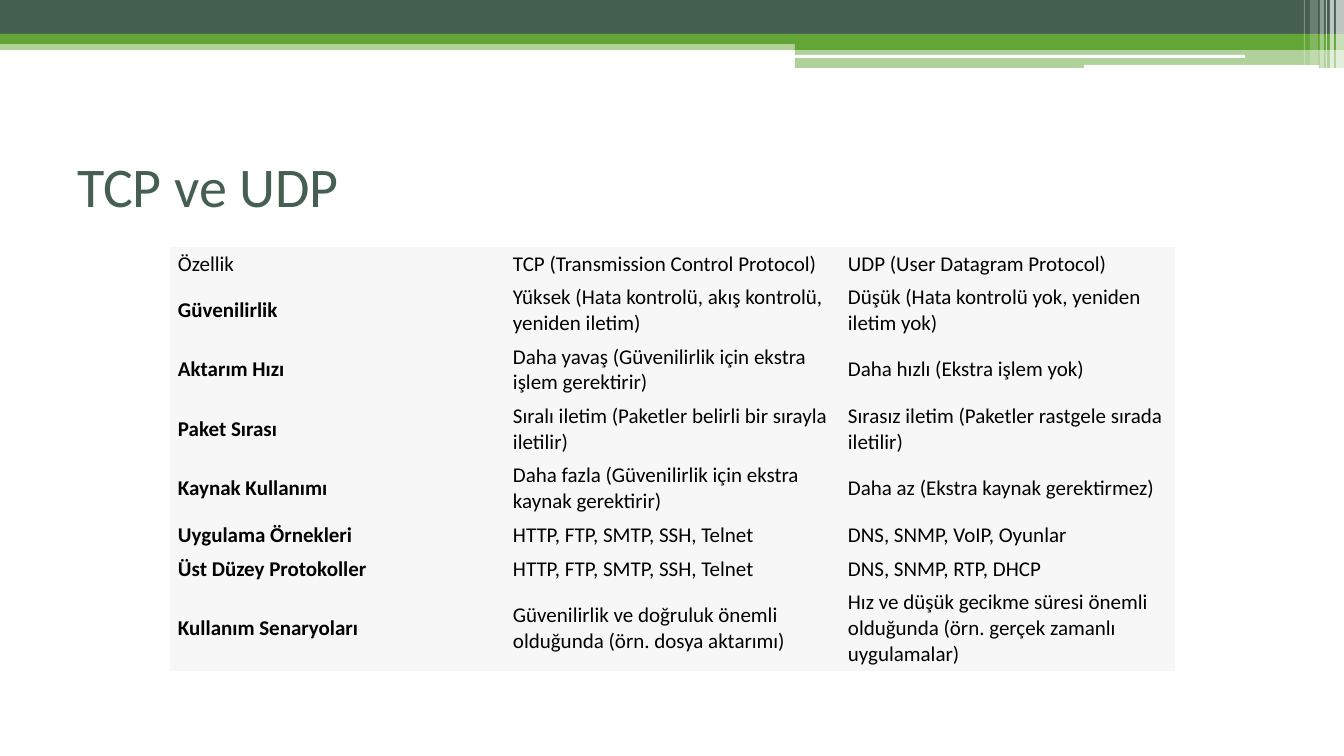
"""Build the slide that compares TCP and UDP."""
from dataclasses import dataclass

from lxml.etree import SubElement
from pptx import Presentation
from pptx.dml.color import RGBColor as Rgb
from pptx.enum.shapes import MSO_SHAPE as Kind
from pptx.enum.text import MSO_ANCHOR as Anchor, PP_ALIGN as Align
from pptx.oxml.ns import qn
from pptx.slide import Slide
from pptx.text.text import TextFrame as Frame
from pptx.util import Pt

SCALE = 12192000 / 1344


@dataclass(frozen=True)
class Theme:
    font: str = "Calibri"
    dark: str = "455F51"
    green: str = "63A537"
    white: str = "FFFFFF"
    black: str = "000000"
    pale: str = "F7F7F7"
    title: int = 40
    body: int = 15


@dataclass(frozen=True)
class Bar:
    left: int
    top: int
    width: int
    height: int
    color: str
    alpha: int = 100
    kind: Kind = Kind.RECTANGLE


THEME = Theme()
BARS = [
    Bar(0, 40, 1344, 10, THEME.green, 50),
    Bar(0, 0, 1344, 34, THEME.dark),
    Bar(0, 34, 1344, 10, THEME.green),
    Bar(795, 39, 549, 11, THEME.green),
    Bar(795, 49, 549, 19, THEME.green, 50),
    Bar(795, 55, 450, 3, THEME.white, kind=Kind.ROUNDED_RECTANGLE),
    Bar(1084, 65, 235, 4, THEME.white, kind=Kind.ROUNDED_RECTANGLE),
    Bar(1336, 0, 8, 69, THEME.white, 65),
    Bar(1330, 0, 4, 69, THEME.white, 65),
    Bar(1326, 0, 1, 69, THEME.white, 60),
    Bar(1320, 0, 4, 69, THEME.white, 40),
    Bar(1310, 0, 8, 65, THEME.white, 20),
    Bar(1304, 0, 1, 65, THEME.white, 30),
]
ROWS = [
    ("Özellik", "TCP (Transmission Control Protocol)", "UDP (User Datagram Protocol)"),
    ("Güvenilirlik", "Yüksek (Hata kontrolü, akış kontrolü, yeniden iletim)",
     "Düşük (Hata kontrolü yok, yeniden iletim yok)"),
    ("Aktarım Hızı", "Daha yavaş (Güvenilirlik için ekstra işlem gerektirir)",
     "Daha hızlı (Ekstra işlem yok)"),
    ("Paket Sırası", "Sıralı iletim (Paketler belirli bir sırayla iletilir)",
     "Sırasız iletim (Paketler rastgele sırada iletilir)"),
    ("Kaynak Kullanımı", "Daha fazla (Güvenilirlik için ekstra kaynak gerektirir)",
     "Daha az (Ekstra kaynak gerektirmez)"),
    ("Uygulama Örnekleri", "HTTP, FTP, SMTP, SSH, Telnet", "DNS, SNMP, VoIP, Oyunlar"),
    ("Üst Düzey Protokoller", "HTTP, FTP, SMTP, SSH, Telnet", "DNS, SNMP, RTP, DHCP"),
    ("Kullanım Senaryoları", "Güvenilirlik ve doğruluk önemli olduğunda (örn. dosya aktarımı)",
     "Hız ve düşük gecikme süresi önemli olduğunda (örn. gerçek zamanlı uygulamalar)"),
]
HEIGHTS = [33, 59, 59, 59, 59, 33, 33, 84]
COLUMN = 335
PLAIN = "{2D5ABB26-0587-4C30-8999-92F81FD0307C}"


def px(count: int) -> int:
    """Turn pixels into EMU."""
    return round(count * SCALE)


def write(frame: Frame, text: str, *, size: int, color: str, bold: bool = False) -> None:
    """Put formatted text into a frame."""
    para = frame.paragraphs[0]
    para.alignment = Align.LEFT
    run = para.add_run()
    run.text = text
    font = run.font
    font.name, font.size, font.bold = THEME.font, Pt(size), bold
    font.color.rgb = Rgb.from_string(color)


def draw(slide: Slide, bar: Bar) -> None:
    """Draw one bar of the banner."""
    shape = slide.shapes.add_shape(
        bar.kind, px(bar.left), px(bar.top), px(bar.width), px(bar.height))
    shape.shadow.inherit = False
    shape.line.fill.background()
    shape.fill.solid()
    shape.fill.fore_color.rgb = Rgb.from_string(bar.color)
    if bar.alpha < 100:
        tint = shape._element.spPr.find(".//" + qn("a:srgbClr"))
        SubElement(tint, qn("a:alpha")).set("val", str(bar.alpha * 1000))


def head(slide: Slide) -> None:
    """Place and write the title."""
    title = slide.shapes.title
    title.left, title.top, title.width, title.height = map(px, (67, 126, 1210, 118))
    title.text_frame.vertical_anchor = Anchor.MIDDLE
    write(title.text_frame, "TCP ve UDP", size=THEME.title, color=THEME.dark)


def grid(slide: Slide) -> None:
    """Build the comparison table."""
    wide = len(ROWS[0])
    table = slide.shapes.add_table(
        len(ROWS), wide, px(170), px(247), px(COLUMN * wide), px(sum(HEIGHTS))).table
    table.first_row = table.horz_banding = False
    table._tbl.tblPr.find(qn("a:tableStyleId")).text = PLAIN
    for column in table.columns:
        column.width = px(COLUMN)
    for i, (texts, height) in enumerate(zip(ROWS, HEIGHTS)):
        table.rows[i].height = px(height)
        for j, text in enumerate(texts):
            cell = table.cell(i, j)
            cell.fill.solid()
            cell.fill.fore_color.rgb = Rgb.from_string(THEME.pale)
            cell.vertical_anchor = Anchor.MIDDLE
            cell.margin_left = cell.margin_right = px(8)
            cell.margin_top = cell.margin_bottom = px(4)
            write(cell.text_frame, text, size=THEME.body, color=THEME.black,
                  bold=i > 0 and j == 0)


def main() -> None:
    """Build and save the deck."""
    deck = Presentation()
    deck.slide_width, deck.slide_height = px(1344), px(756)
    slide = deck.slides.add_slide(deck.slide_layouts[5])
    for bar in BARS:
        draw(slide, bar)
    head(slide)
    grid(slide)
    deck.save("out.pptx")


if __name__ == "__main__":
    main()
